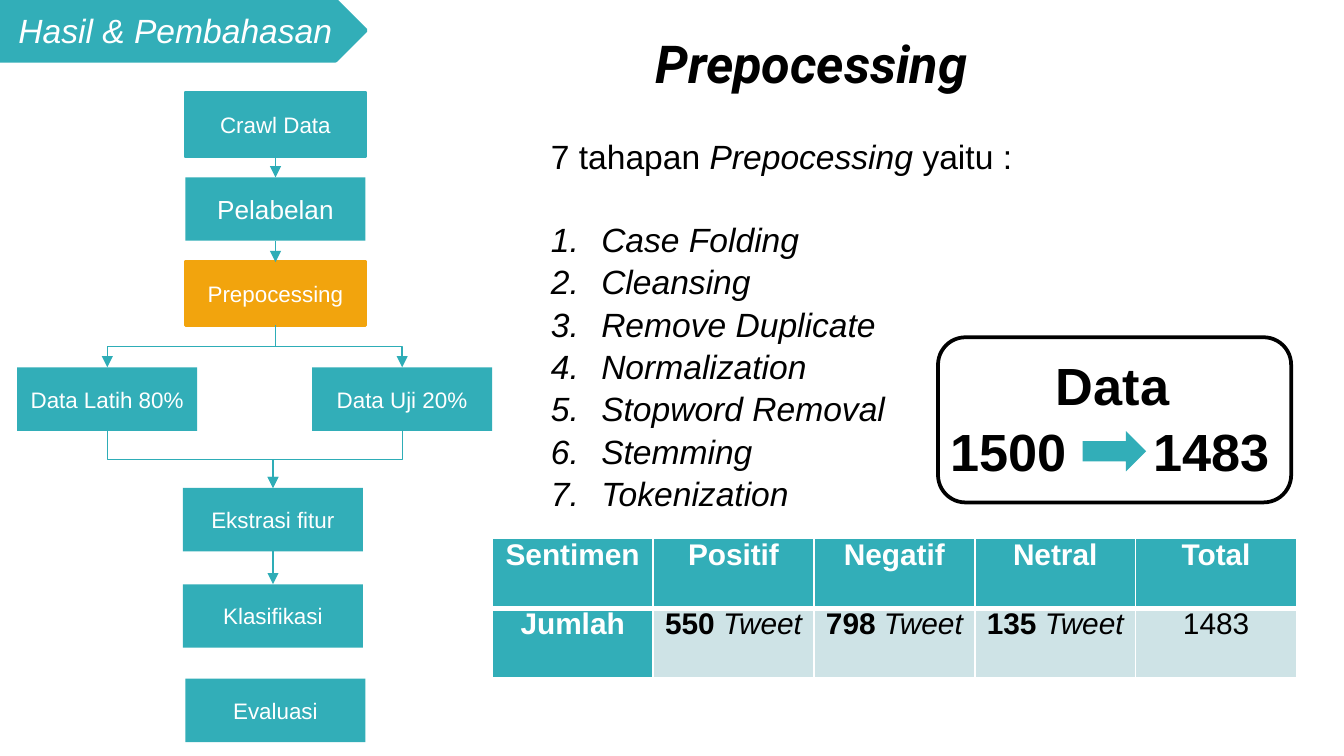
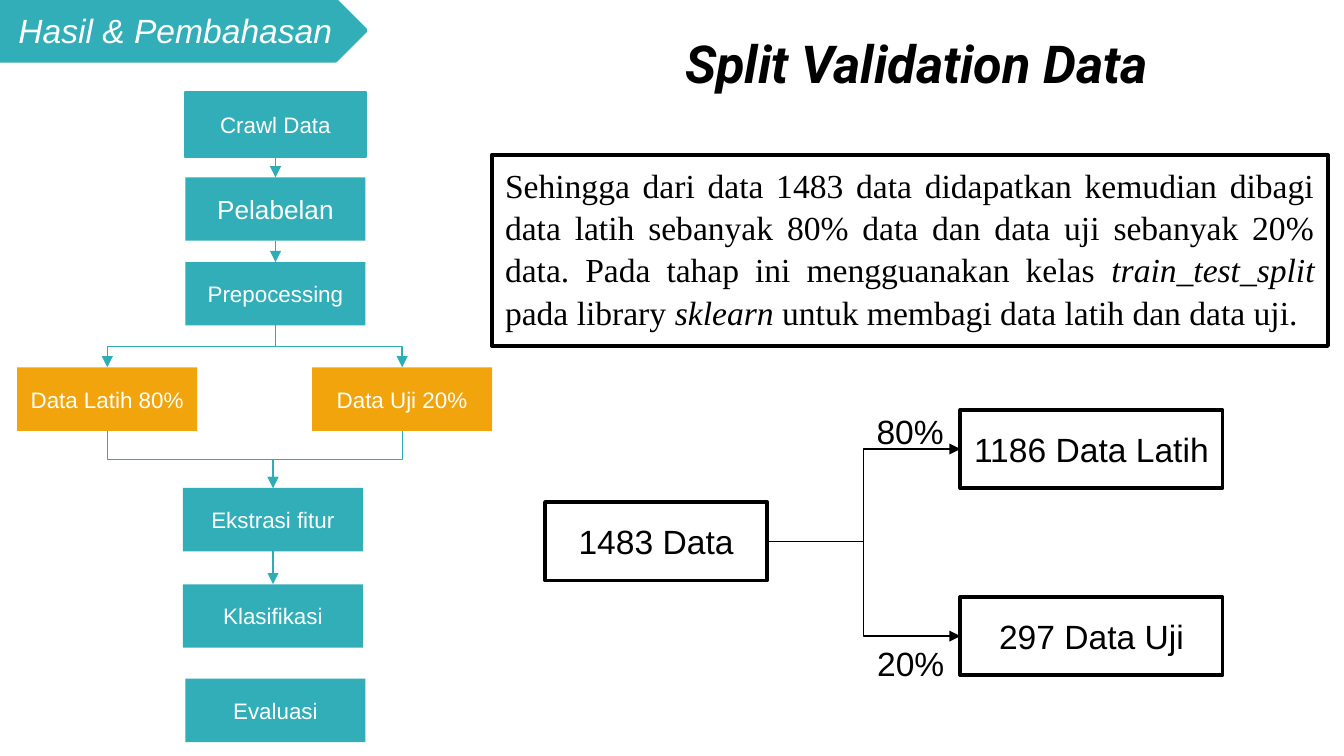
import dataclasses

import lxml.etree
import pptx
import pptx.dml.color
import pptx.enum.shapes
import pptx.enum.text
import pptx.oxml.ns
import pptx.util

Pt = pptx.util.Pt
Shape = pptx.enum.shapes.MSO_SHAPE
Connector = pptx.enum.shapes.MSO_CONNECTOR
Align = pptx.enum.text.PP_ALIGN
Anchor = pptx.enum.text.MSO_ANCHOR
qn = pptx.oxml.ns.qn
TOP, LEFT, BOTTOM, RIGHT = range(4)


@dataclasses.dataclass(frozen=True)
class Theme:
    teal: str = "32AEB8"
    arrow: str = "2EADB7"
    accent: str = "F2A40D"
    pale: str = "CEE3E6"
    black: str = "000000"
    white: str = "FFFFFF"
    sans: str = "Arial"
    heading: str = "Roboto"
    serif: str = "Times New Roman"
    title: int = 28
    body: int = 18
    cell: int = 16
    step_large: int = 14
    step: int = 12
    leading: float = 1.05


def rgb(value):
    return pptx.dml.color.RGBColor.from_string(value)


def add_xml(parent, tag, **attributes):
    return lxml.etree.SubElement(parent, qn(tag), attributes)


class Deck:
    """Holds the theme and the current slide, and draws each kind of element."""

    def __init__(self, theme):
        self.theme = theme
        self.presentation = pptx.Presentation()
        self.presentation.slide_width = Pt(720)
        self.presentation.slide_height = Pt(405)
        self.slide = None

    def new_slide(self):
        self.slide = self.presentation.slides.add_slide(self.presentation.slide_layouts[6])

    def typeset(self, paragraph, content, size, color, font=None, align=None, bold=None, italic=None):
        if align is not None:
            paragraph.alignment = align
        style = paragraph.font
        style.size, style.name = Pt(size), font or self.theme.sans
        style.color.rgb = rgb(color)
        style.bold, style.italic = bold, italic
        runs = [(content, "")] if isinstance(content, str) else content
        for words, marks in runs:
            run = paragraph.add_run()
            run.text = words
            if len(runs) > 1:
                run.font.bold, run.font.italic = "b" in marks, "i" in marks

    def shape(self, kind, at, fill=None, line=None, label=None, size=None, color=None, italic=None):
        shape = self.slide.shapes.add_shape(kind, *map(Pt, at))
        shape.shadow.inherit = False
        if fill:
            shape.fill.solid()
            shape.fill.fore_color.rgb = rgb(fill)
        else:
            shape.fill.background()
        if line:
            shape.line.color.rgb = rgb(line)
            shape.line.width = Pt(2)
        else:
            shape.line.fill.background()
        if label:
            frame = shape.text_frame
            frame.word_wrap = True
            frame.vertical_anchor = Anchor.MIDDLE
            frame.margin_left = frame.margin_right = Pt(3.6)
            self.typeset(frame.paragraphs[0], label, size, color or self.theme.white,
                         align=Align.CENTER, italic=italic)
        return shape

    def text(self, at, content, size=None, after=0, **style):
        frame = self.slide.shapes.add_textbox(*map(Pt, at)).text_frame
        frame.word_wrap = True
        paragraph = frame.paragraphs[0]
        self.spacing(paragraph, after)
        self.typeset(paragraph, content, size or self.theme.body, self.theme.black, **style)
        return frame

    def spacing(self, paragraph, after=0):
        paragraph.line_spacing = self.theme.leading
        if after:
            paragraph.space_after = Pt(after)

    def numbered(self, frame, items):
        for item in items:
            paragraph = frame.add_paragraph()
            self.spacing(paragraph)
            properties = paragraph._p.get_or_add_pPr()
            properties.set("marL", str(Pt(27)))
            properties.set("indent", str(-Pt(27)))
            add_xml(properties, "a:buFont", typeface="+mj-lt")
            add_xml(properties, "a:buAutoNum", type="arabicPeriod")
            self.typeset(paragraph, item, self.theme.body, self.theme.black, italic=True)

    def tabbed(self, frame, content, stop):
        paragraph = frame.add_paragraph()
        self.spacing(paragraph)
        tabs = add_xml(paragraph._p.get_or_add_pPr(), "a:tabLst")
        add_xml(tabs, "a:tab", pos=str(Pt(stop)), algn="l")
        self.typeset(paragraph, content, self.theme.title, self.theme.black, bold=True)

    def arrow(self, start, start_side, end, end_side, color, elbow=False):
        kind = Connector.ELBOW if elbow else Connector.STRAIGHT
        arrow = self.slide.shapes.add_connector(kind, 0, 0, 0, 0)
        arrow.begin_connect(start, start_side)
        arrow.end_connect(end, end_side)
        properties = arrow._element.spPr
        if elbow and start_side == BOTTOM:
            x1, y1, x2, y2 = arrow.begin_x, arrow.begin_y, arrow.end_x, arrow.end_y
            drop, span = y2 - y1, abs(x2 - x1)
            arrow.left, arrow.top = (x1 + x2 - drop) // 2, (y1 + y2 - span) // 2
            arrow.width, arrow.height = drop, span
            rightward = x2 > x1
            properties.xfrm.flipH, properties.xfrm.flipV = rightward, False
            properties.xfrm.rot = 270 if rightward else 90
        arrow.line.color.rgb = rgb(color)
        arrow.line.width = Pt(0.75)
        add_xml(properties.find(qn("a:ln")), "a:tailEnd", type="triangle")
        add_xml(properties, "a:effectLst")

    def border(self, cell, widths):
        properties = cell._tc.get_or_add_tcPr()
        for index, (side, width) in enumerate(zip("LRTB", widths)):
            line = add_xml(properties, f"a:ln{side}", w=str(Pt(width)))
            add_xml(add_xml(line, "a:solidFill"), "a:srgbClr", val=self.theme.white)
            properties.insert(index, line)

    def table(self, left, top, column_width, row_height, rows):
        theme = self.theme
        columns = len(rows[0])
        table = self.slide.shapes.add_table(
            len(rows), columns, Pt(left), Pt(top),
            Pt(column_width * columns), Pt(row_height * len(rows))).table
        table.horz_banding = False
        for column in table.columns:
            column.width = Pt(column_width)
        for r, row in enumerate(rows):
            table.rows[r].height = Pt(row_height)
            for c, content in enumerate(row):
                cell = table.cell(r, c)
                head = r == 0 or c == 0
                cell.margin_left = cell.margin_right = Pt(5)
                cell.margin_top = cell.margin_bottom = 0
                cell.fill.solid()
                cell.fill.fore_color.rgb = rgb(theme.teal if head else theme.pale)
                self.border(cell, (1, 1, 1, 3) if r == 0 else (1, 1, 3, 1))
                self.typeset(cell.text_frame.paragraphs[0], content, theme.cell,
                             theme.white if head else theme.black, align=Align.CENTER, bold=head)

    def heading(self, left, width, words):
        theme = self.theme
        self.shape(Shape.PENTAGON, (0, 0, 196, 32.5), theme.teal, theme.teal,
                   "Hasil & Pembahasan", theme.body, italic=True)
        self.text((left, 11.5, width, 41), words, theme.title,
                  font=theme.heading, bold=True, italic=True)

    def flow(self, active, outlined):
        theme = self.theme
        main, lower = 99.35, 98
        places = {
            "Crawl Data": (main, 49.7),
            "Pelabelan": (main, 95),
            "Prepocessing": (main, 140.4),
            "Evaluasi": (main, 363.6),
            "Data Latih 80%": (9.2, 196.8),
            "Data Uji 20%": (167.2, 196.8),
            "Ekstrasi fitur": (lower, 261.4),
            "Klasifikasi": (lower, 313),
        }
        steps = {}
        for name, place in places.items():
            fill = theme.accent if name in active else theme.teal
            steps[name] = self.shape(
                Shape.RECTANGLE, (*place, 96.5, 34), fill, fill if name in outlined else None,
                name, theme.step_large if name == "Pelabelan" else theme.step)
        links = [
            ("Crawl Data", "Pelabelan", False),
            ("Pelabelan", "Prepocessing", False),
            ("Data Latih 80%", "Ekstrasi fitur", True),
            ("Data Uji 20%", "Ekstrasi fitur", True),
            ("Ekstrasi fitur", "Klasifikasi", False),
            ("Prepocessing", "Data Latih 80%", True),
            ("Prepocessing", "Data Uji 20%", True),
        ]
        for source, target, elbow in links:
            self.arrow(steps[source], BOTTOM, steps[target], TOP, theme.arrow, elbow)


def preprocessing_slide(deck):
    theme = deck.theme
    deck.new_slide()
    deck.heading(344, 289.5, "Prepocessing")
    deck.flow({"Prepocessing"}, {"Crawl Data", "Prepocessing"})
    tweets = [[(f"{count} ", "b"), ("Tweet", "i")] for count in (550, 798, 135)]
    deck.table(263.7, 288.4, 86.2, 37.4, [
        ["Sentimen", "Positif", "Negatif", "Netral", "Total"],
        ["Jumlah", *tweets, "1483"],
    ])
    stages = deck.text((288, 68.4, 264, 204),
                       [("7 tahapan ", ""), ("Prepocessing", "i"), (" yaitu :", "")], after=21.6)
    deck.numbered(stages, ["Case Folding", "Cleansing", "Remove Duplicate", "Normalization",
                           "Stopword Removal", "Stemming", "Tokenization"])
    reduction = deck.text((502, 184.3, 188, 75), "Data", theme.title,
                          align=Align.CENTER, bold=True)
    deck.tabbed(reduction, "1500\t1483", 109)
    deck.shape(Shape.ROUNDED_RECTANGLE, (502.5, 180.7, 189.2, 88.5), line=theme.black)
    deck.shape(Shape.RIGHT_ARROW, (580, 231, 34, 21.6), theme.teal)


def split_slide(deck):
    theme = deck.theme
    deck.new_slide()
    deck.flow({"Data Latih 80%", "Data Uji 20%"}, {"Crawl Data"})
    deck.heading(360, 306, "Split Validation Data")
    deck.text((263.5, 83.5, 448, 94.5), [
        ("Sehingga dari data 1483 data didapatkan kemudian dibagi data latih sebanyak 80% data "
         "dan data uji sebanyak 20% data. Pada tahap ini mengguanakan kelas ", ""),
        ("train_test_split", "i"),
        (" pada library ", ""),
        ("sklearn", "i"),
        (" untuk membagi data latih dan data uji.", ""),
    ], after=6, font=theme.serif, align=Align.JUSTIFY)
    total, train, test = (
        deck.shape(Shape.RECTANGLE, (left, top, width, 42), line=theme.black,
                   label=label, size=theme.body, color=theme.black)
        for left, top, width, label in [
            (292, 269, 119, "1483 Data"),
            (514.5, 219.6, 140.4, "1186 Data Latih"),
            (514.5, 319.8, 140.4, "297 Data Uji"),
        ])
    for part in (train, test):
        deck.arrow(total, RIGHT, part, LEFT, theme.black, elbow=True)
    deck.text((462.5, 215.3, 51.2, 29), "80%")
    deck.text((462.8, 339.8, 51.2, 29), "20%")
    deck.shape(Shape.RECTANGLE, (263.5, 83, 448, 102.4), line=theme.black)


def main():
    deck = Deck(Theme())
    preprocessing_slide(deck)
    split_slide(deck)
    deck.presentation.save("out.pptx")


if __name__ == "__main__":
    main()
